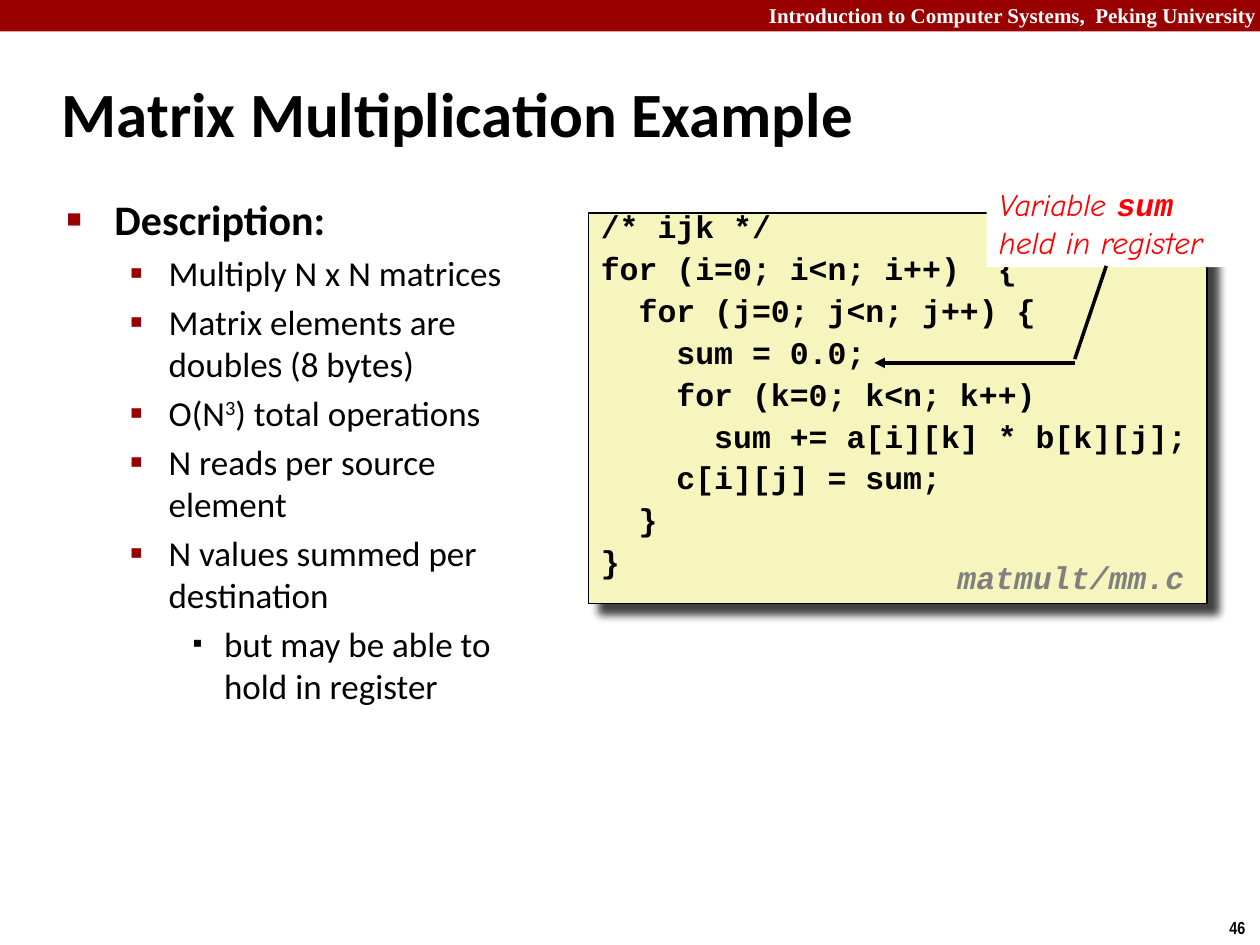
"""Build the matrix multiplication example slide."""
from dataclasses import dataclass
from lxml.etree import SubElement
from pptx import Presentation
from pptx.dml.color import RGBColor
from pptx.enum.shapes import MSO_CONNECTOR, MSO_SHAPE
from pptx.enum.text import MSO_ANCHOR, PP_ALIGN
from pptx.oxml.ns import qn
from pptx.util import Inches, Pt


@dataclass(frozen=True)
class Theme:
    black: str = "000000"
    white: str = "FFFFFF"
    maroon: str = "990000"
    cream: str = "F6F5BD"
    red: str = "FF0000"
    gray: str = "808080"
    sans: str = "Calibri"
    narrow: str = "Arial Narrow"
    mono: str = "Courier New"
    serif: str = "Times New Roman"
    comic: str = "Comic Neue"
    title: int = 36
    head: int = 24
    body: int = 20
    code: int = 18
    top: int = 12
    page: int = 10


theme = Theme()


def write(para, text, size=theme.body, font=theme.sans, color=theme.black,
          bold=False, italic=False, raised=0):
    run = para.add_run()
    run.text = text
    face = run.font
    face.size, face.name, face.bold, face.italic = Pt(size), font, bold, italic
    face.color.rgb = RGBColor.from_string(color)
    if raised:
        run._r.get_or_add_rPr().set("baseline", str(raised * 1000))


def place(left, top, width, height, fill=None, wrap=True):
    area = [Inches(side) for side in (left, top, width, height)]
    if fill:
        shape = slide.shapes.add_shape(MSO_SHAPE.RECTANGLE, *area)
        shape.shadow.inherit = False
        shape.fill.solid()
        shape.fill.fore_color.rgb = RGBColor.from_string(fill)
        shape.line.fill.background()
    else:
        shape = slide.shapes.add_textbox(*area)
    frame = shape.text_frame
    frame.word_wrap = wrap
    frame.vertical_anchor = MSO_ANCHOR.TOP
    frame.paragraphs[0].alignment = PP_ALIGN.LEFT
    return shape


deck = Presentation()
deck.slide_width, deck.slide_height = Inches(10), Inches(7.5)
slide = deck.slides.add_slide(deck.slide_layouts[5])

place(0, 0, 10, 0.25, fill=theme.maroon)
para = place(6, -0.03, 4.07, 0.3).text_frame.paragraphs[0]
para.alignment = PP_ALIGN.RIGHT
write(para, "Introduction to Computer Systems,  Peking University",
      size=theme.top, font=theme.serif, color=theme.white, bold=True)
para = place(9.66, 7.23, 0.34, 0.27, wrap=False).text_frame.paragraphs[0]
write(para, "46", size=theme.page, font=theme.narrow, bold=True)

title = slide.shapes.title
title.left, title.top = Inches(0.39), Inches(0.48)
title.width, title.height = Inches(8.3), Inches(0.83)
title.text_frame.vertical_anchor = MSO_ANCHOR.MIDDLE
para = title.text_frame.paragraphs[0]
para.alignment = PP_ALIGN.LEFT
write(para, "Matrix Multiplication Example", size=theme.title, bold=True)

levels = [
    (0.38, 0.38, "■", theme.maroon, 60),
    (0.81, 0.31, "▪", theme.maroon, 110),
    (1.25, 0.25, "▪", theme.black, 80),
]
points = [
    (0, [("Description:", {"size": theme.head, "bold": True})]),
    (1, [("Multiply N x N matrices", {})]),
    (1, [("Matrix elements are double", {}), ("s", {"font": theme.narrow}),
         (" (8 bytes)", {})]),
    (1, [("O(N", {}), ("3", {"raised": 30}), (") total operations", {})]),
    (1, [("N reads per source element", {})]),
    (1, [("N values summed per destination", {})]),
    (2, [("but may be able to hold in register", {})]),
]
frame = place(0.43, 1.49, 3.98, 5.44).text_frame
for row, (level, parts) in enumerate(points):
    para = frame.add_paragraph() if row else frame.paragraphs[0]
    para.level = level
    para.space_before = Pt(4 if row else 0)
    margin, hang, mark, color, scale = levels[level]
    props = para._p.get_or_add_pPr()
    props.set("marL", str(Inches(margin)))
    props.set("indent", str(-Inches(hang)))
    tint = SubElement(props, qn("a:buClr"))
    SubElement(tint, qn("a:srgbClr"), val=color)
    SubElement(props, qn("a:buSzPct"), val=str(scale * 1000))
    SubElement(props, qn("a:buFont"), typeface="Arial")
    SubElement(props, qn("a:buChar"), char=mark)
    for text, style in parts:
        write(para, text, **style)

source = """/* ijk */
for (i=0; i<n; i++)  {
  for (j=0; j<n; j++) {
    sum = 0.0;
    for (k=0; k<n; k++)
      sum += a[i][k] * b[k][j];
    c[i][j] = sum;
  }
}"""
panel = place(4.67, 1.69, 4.91, 3.1, fill=theme.cream)
panel.line.color.rgb = RGBColor.from_string(theme.black)
panel.line.width = Pt(1)
effects = panel._element.spPr.find(qn("a:effectLst"))
shade = SubElement(effects, qn("a:outerShdw"), blurRad=str(Pt(5)),
                   dist=str(Pt(8.5)), dir="2700000", algn="tl", rotWithShape="0")
tint = SubElement(shade, qn("a:srgbClr"), val=theme.black)
SubElement(tint, qn("a:alpha"), val="75000")
frame = panel.text_frame
for row, text in enumerate(source.splitlines()):
    para = frame.add_paragraph() if row else frame.paragraphs[0]
    para.alignment = PP_ALIGN.LEFT
    para.line_spacing = 0.65
    para.space_before = Pt(9.9 if row else 0)
    write(para, text, size=theme.code, font=theme.mono, bold=True)

frame = place(7.83, 1.42, 2.05, 0.7, fill=theme.white, wrap=False).text_frame
note = {"size": theme.code, "color": theme.red, "italic": True}
para = frame.paragraphs[0]
write(para, "Variable ", font=theme.comic, **note)
write(para, "sum", font=theme.mono, bold=True, **note)
para = frame.add_paragraph()
para.alignment = PP_ALIGN.LEFT
write(para, "held in register", font=theme.comic, **note)

for ends, arrow in [((8.53, 2.88, 6.94, 2.88), True),
                    ((8.78, 2.11, 8.53, 2.85), False)]:
    line = slide.shapes.add_connector(
        MSO_CONNECTOR.STRAIGHT, *[Inches(end) for end in ends])
    line.line.color.rgb = RGBColor.from_string(theme.black)
    line.line.width = Pt(2)
    if arrow:
        SubElement(line.line._get_or_add_ln(), qn("a:tailEnd"), type="triangle")
    SubElement(line._element.spPr, qn("a:effectLst"))

para = place(7.5, 4.4, 2.08, 0.39, wrap=False).text_frame.paragraphs[0]
para.line_spacing = 0.94
write(para, "matmult/mm.c", size=theme.code, font=theme.mono,
      color=theme.gray, bold=True, italic=True)

deck.save("out.pptx")
